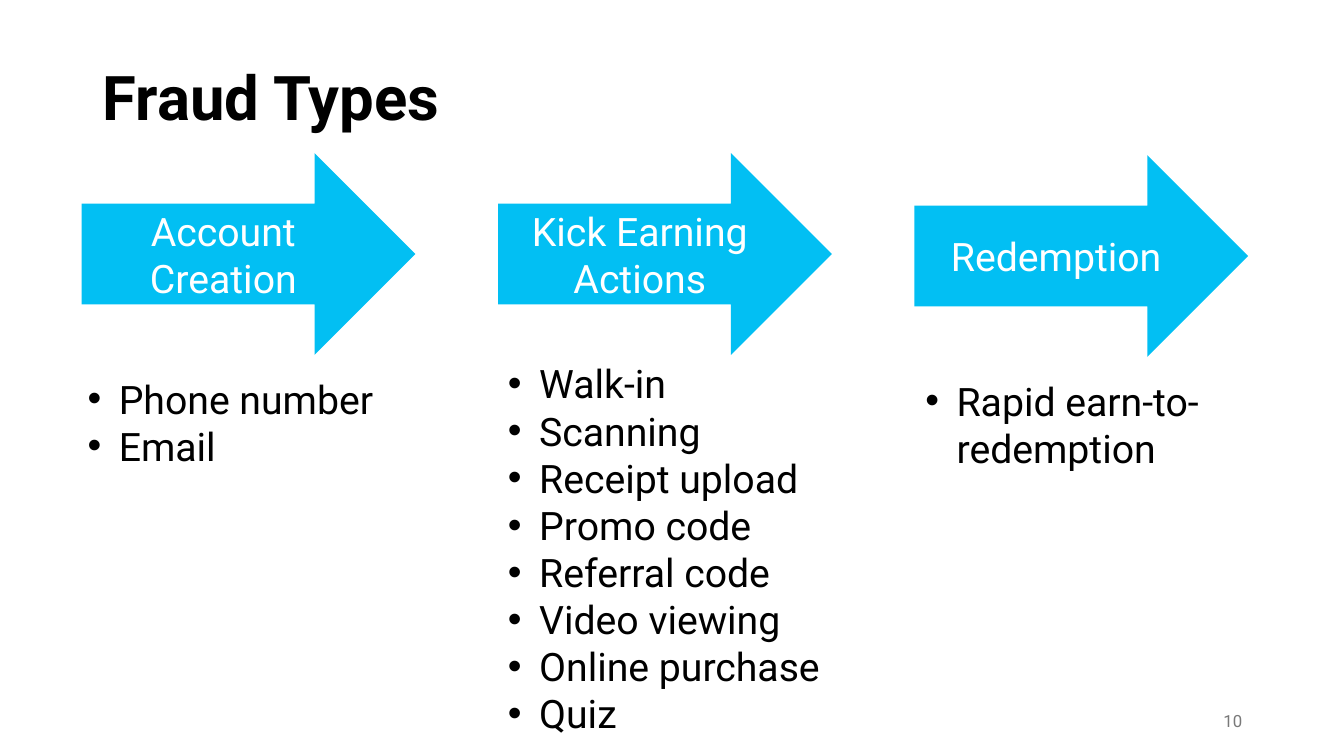
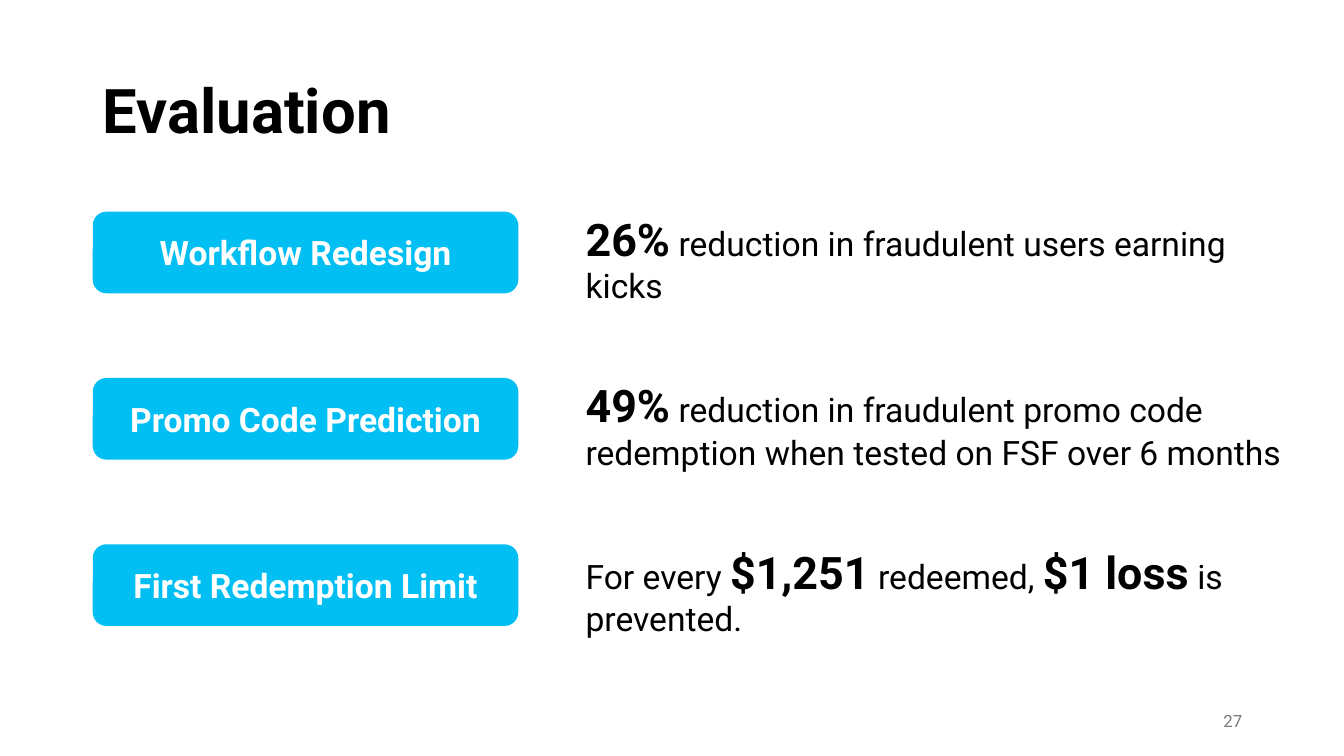
from dataclasses import dataclass

from lxml.etree import SubElement
from pptx import Presentation
from pptx.dml.color import RGBColor as Rgb
from pptx.enum.shapes import MSO_SHAPE as Shape
from pptx.enum.text import MSO_ANCHOR as Anchor, PP_ALIGN as Align
from pptx.oxml.ns import qn
from pptx.util import Inches, Pt


@dataclass(frozen=True)
class Theme:
    """Colours, type sizes and font shared by the slides."""
    font: str = "Roboto"
    accent: Rgb = Rgb(0x02, 0xBF, 0xF3)
    ink: Rgb = Rgb(0, 0, 0)
    paper: Rgb = Rgb(255, 255, 255)
    muted: Rgb = Rgb(0x79, 0x79, 0x79)
    title: int = 44
    figure: int = 32
    stage: int = 28
    body: int = 24
    footer: int = 12


THEME = Theme()
WIDTH, HEIGHT = 13.33, 7.5
MARGIN, CONTENT_WIDTH = 0.92, 11.5

STAGES = [
    ("Account Creation", ["Phone number", "Email"], (-0.04, 2.15, 3.16), 0),
    ("Kick Earning Actions",
     ["Walk-in", "Scanning", "Receipt upload", "Promo code", "Referral code",
      "Video viewing", "Online purchase", "Quiz"], (0, 2, 3.47), 0),
    ("Redemption", ["Rapid earn-to-redemption"], (0.01, 2.15, 3.47), 0.02),
]

RESULTS = [
    ("Workflow Redesign", 7.12,
     [("26%", True), (" reduction in fraudulent users earning kicks", False)]),
    ("Promo Code Prediction", 7.4,
     [("49%", True),
      (" reduction in fraudulent promo code redemption when tested on FSF over 6 months", False)]),
    ("First Redemption Limit", 6.7,
     [("For every ", False), ("$1,251", True), (" redeemed, ", False),
      ("$1 loss", True), (" is prevented.", False)]),
]


def style(paragraph, size, color, bold=False, align=Align.LEFT):
    """Set the font and alignment of a paragraph."""
    font = paragraph.font
    font.name, font.size, font.bold = THEME.font, Pt(size), bold
    font.color.rgb = color
    paragraph.alignment = align


def add_text(slide, box, lines, size, color=THEME.ink, bold=False,
             align=Align.LEFT, anchor=Anchor.TOP):
    """Add a wrapped text box and return its paragraphs."""
    frame = slide.shapes.add_textbox(*map(Inches, box)).text_frame
    frame.word_wrap = True
    frame.vertical_anchor = anchor
    frame.text = "\n".join(lines)
    for paragraph in frame.paragraphs:
        style(paragraph, size, color, bold, align)
    return frame.paragraphs


def add_label(slide, preset, box, text, size, bold=False):
    """Add an accent shape with centred text."""
    label = slide.shapes.add_shape(preset, *map(Inches, box))
    label.shadow.inherit = False
    label.fill.solid()
    label.fill.fore_color.rgb = THEME.accent
    label.line.fill.background()
    frame = label.text_frame
    frame.word_wrap = True
    frame.vertical_anchor = Anchor.MIDDLE
    frame.text = text
    style(frame.paragraphs[0], size, THEME.paper, bold, Align.CENTER)


def add_bullet(paragraph, indent=0.31):
    """Give a paragraph a hanging round bullet."""
    properties = paragraph._p.get_or_add_pPr()
    properties.set("marL", str(Inches(indent)))
    properties.set("indent", str(-Inches(indent)))
    SubElement(properties, qn("a:buFont"), typeface="Arial")
    SubElement(properties, qn("a:buChar"), char="•")


def add_page(deck, title, title_top, number):
    """Add a blank slide with its title and page number."""
    slide = deck.slides.add_slide(deck.slide_layouts[6])
    heading = add_text(slide, (MARGIN, title_top, CONTENT_WIDTH, 1.45), [title],
                       THEME.title, bold=True, anchor=Anchor.MIDDLE)
    heading[0].line_spacing = 0.9
    add_text(slide, (MARGIN + CONTENT_WIDTH - 3, 6.95, 3, 0.4), [str(number)],
             THEME.footer, THEME.muted, align=Align.RIGHT, anchor=Anchor.MIDDLE)
    return slide


def add_stage(slide, left, top, name, examples, list_box):
    """Add a stage arrow with its bulleted examples below."""
    add_label(slide, Shape.RIGHT_ARROW, (left, top, 3.31, 2), name, THEME.stage)
    shift, drop, width = list_box
    height = 0.1 + 0.47 * max(2, len(examples))
    for paragraph in add_text(slide, (left + shift, top + drop, width, height),
                              examples, THEME.stage):
        add_bullet(paragraph)


def add_result(slide, left, top, measure, width, parts):
    """Add a measure label with its outcome at the right."""
    add_label(slide, Shape.ROUNDED_RECTANGLE, (left, top, 4.22, 0.81), measure,
              THEME.body, bold=True)
    outcome = add_text(slide, (left + 4.79, top - 0.05, width, 1.04), [""], THEME.body)[0]
    for text, is_figure in parts:
        run = outcome.add_run()
        run.text = text
        if is_figure:
            run.font.size, run.font.bold = Pt(THEME.figure), True


def fraud_types(deck):
    """Build the slide of three fraud stages."""
    slide = add_page(deck, "Fraud Types", 0.27, 10)
    for column, (name, examples, list_box, drop) in enumerate(STAGES):
        add_stage(slide, 0.81 + 4.13 * column, 1.52 + drop, name, examples, list_box)


def evaluation(deck):
    """Build the slide of measures and their results."""
    slide = add_page(deck, "Evaluation", 0.4, 27)
    for row, (measure, width, parts) in enumerate(RESULTS):
        add_result(slide, MARGIN, 2.1 + 1.65 * row, measure, width, parts)


def main():
    """Build and save the deck."""
    deck = Presentation()
    deck.slide_width, deck.slide_height = Inches(WIDTH), Inches(HEIGHT)
    fraud_types(deck)
    evaluation(deck)
    deck.save("out.pptx")


if __name__ == "__main__":
    main()
